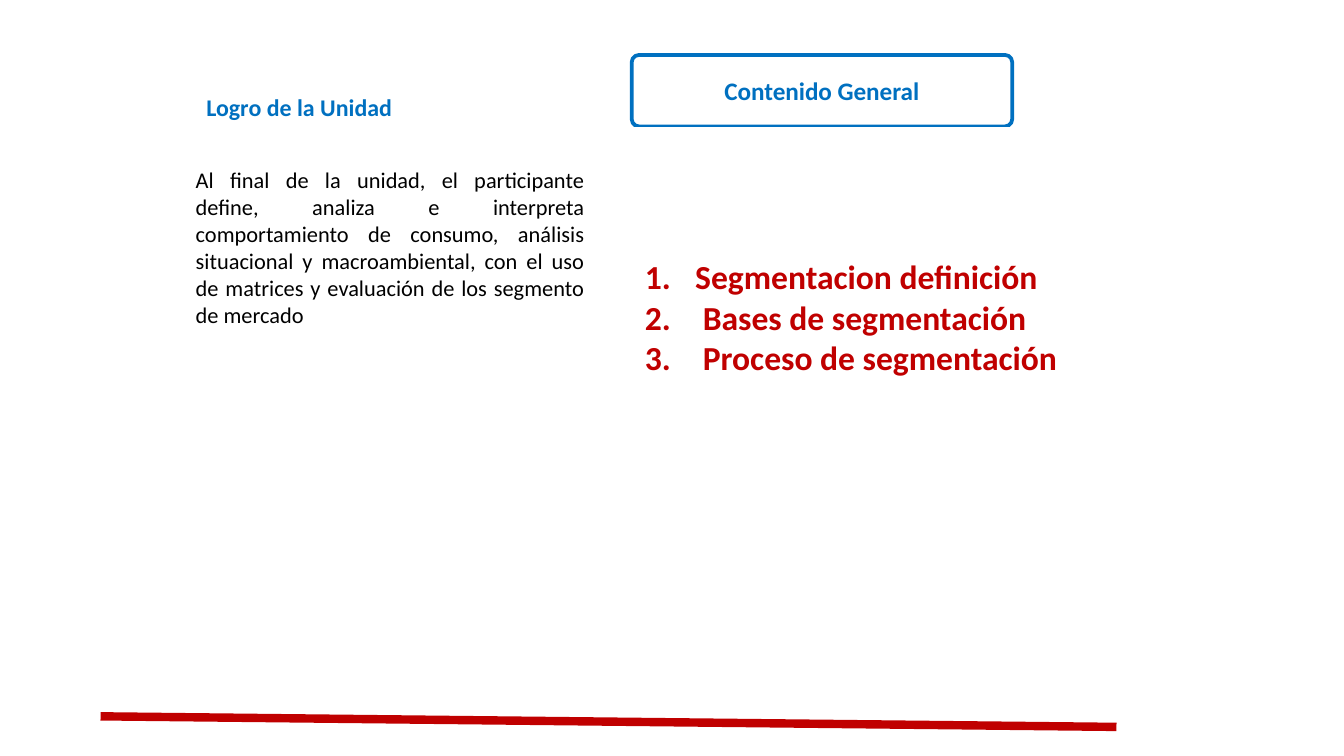
from dataclasses import dataclass
from typing import Optional

from lxml.etree import SubElement
from pptx import Presentation
from pptx.dml.color import RGBColor
from pptx.enum.shapes import MSO_CONNECTOR, MSO_SHAPE
from pptx.enum.text import MSO_ANCHOR, PP_ALIGN
from pptx.oxml.ns import qn
from pptx.util import Cm, Pt

COLORS = {"blue": "0070C0", "red": "C00000", "black": "000000", "white": "FFFFFF"}
FONT = "Calibri"


@dataclass
class Panel:
    left: float
    top: float
    width: float
    height: float
    lines: list[str]
    size: float
    color: str
    bold: bool = True
    align: PP_ALIGN = PP_ALIGN.LEFT
    anchor: MSO_ANCHOR = MSO_ANCHOR.MIDDLE
    shape: Optional[MSO_SHAPE] = None  # None makes a plain text box
    fill: Optional[str] = None
    line: Optional[str] = None
    indent: float = 0
    numbered: bool = False


def rgb(name: str) -> RGBColor:
    return RGBColor.from_string(COLORS[name])


def set_indent(paragraph, indent: float, numbered: bool) -> None:
    properties = paragraph._p.get_or_add_pPr()
    properties.set("marL", str(Cm(indent)))
    properties.set("indent", str(-Cm(indent) if numbered else 0))
    if numbered:
        SubElement(properties, qn("a:buFont"), typeface="+mj-lt")
        SubElement(properties, qn("a:buAutoNum"), type="arabicPeriod")


def add_panel(page, panel: Panel) -> None:
    place = [Cm(n) for n in (panel.left, panel.top, panel.width, panel.height)]
    if panel.shape is None:
        box = page.shapes.add_textbox(*place)
    else:
        box = page.shapes.add_shape(panel.shape, *place)
        box.shadow.inherit = False
        if panel.shape == MSO_SHAPE.ROUNDED_RECTANGLE:
            box.adjustments[0] = 0.1
        if panel.fill:
            box.fill.solid()
            box.fill.fore_color.rgb = rgb(panel.fill)
        else:
            box.fill.background()
        if panel.line:
            box.line.color.rgb = rgb(panel.line)
            box.line.width = Pt(2)
        else:
            box.line.fill.background()

    frame = box.text_frame
    frame.word_wrap = True
    frame.vertical_anchor = panel.anchor
    for index, line in enumerate(panel.lines):
        paragraph = frame.add_paragraph() if index else frame.paragraphs[0]
        paragraph.alignment = panel.align
        if panel.indent:
            set_indent(paragraph, panel.indent, panel.numbered)
        span = paragraph.add_run()
        span.text = line
        span.font.name = FONT
        span.font.size = Pt(panel.size)
        span.font.bold = panel.bold
        span.font.color.rgb = rgb(panel.color)


PANELS = [
    # Content heading
    Panel(11.94, 1.04, 7.19, 1.35, ["Contenido General"], 13.5, "blue",
          align=PP_ALIGN.CENTER, shape=MSO_SHAPE.ROUNDED_RECTANGLE, line="blue"),
    # Unit goal
    Panel(3.45, 3.02, 7.85, 5.05,
          ["Al final de la unidad, el participante define, analiza e interpreta "
           "comportamiento de consumo, análisis situacional y macroambiental, con el "
           "uso de matrices y evaluación de los segmento de mercado"],
          12, "black", bold=False, align=PP_ALIGN.JUSTIFY, anchor=MSO_ANCHOR.TOP,
          shape=MSO_SHAPE.RECTANGLE, fill="white"),
    # Unit goal heading
    Panel(3.45, 0.33, 6.4, 2.08, ["Logro de la Unidad"], 12.8, "blue",
          anchor=MSO_ANCHOR.BOTTOM, indent=0.2),
    # Numbered topics
    Panel(11.94, 2.44, 8.84, 7.09,
          ["Segmentacion definición", " Bases de segmentación",
           " Proceso de segmentación"],
          18, "red", align=PP_ALIGN.JUSTIFY, shape=MSO_SHAPE.RECTANGLE,
          fill="white", line="white", indent=0.95, numbered=True),
]


def main() -> None:
    deck = Presentation()
    deck.slide_width, deck.slide_height = Cm(25.4), Cm(14.29)
    page = deck.slides.add_slide(deck.slide_layouts[6])

    for panel in PANELS:
        add_panel(page, panel)

    # Footer rule
    rule = page.shapes.add_connector(
        MSO_CONNECTOR.STRAIGHT, Cm(1.9), Cm(13.54), Cm(21.1), Cm(13.74))
    rule.line.color.rgb = rgb("red")
    rule.line.width = Pt(4.5)
    SubElement(rule._element.spPr, qn("a:effectLst"))

    deck.save("out.pptx")


if __name__ == "__main__":
    main()
